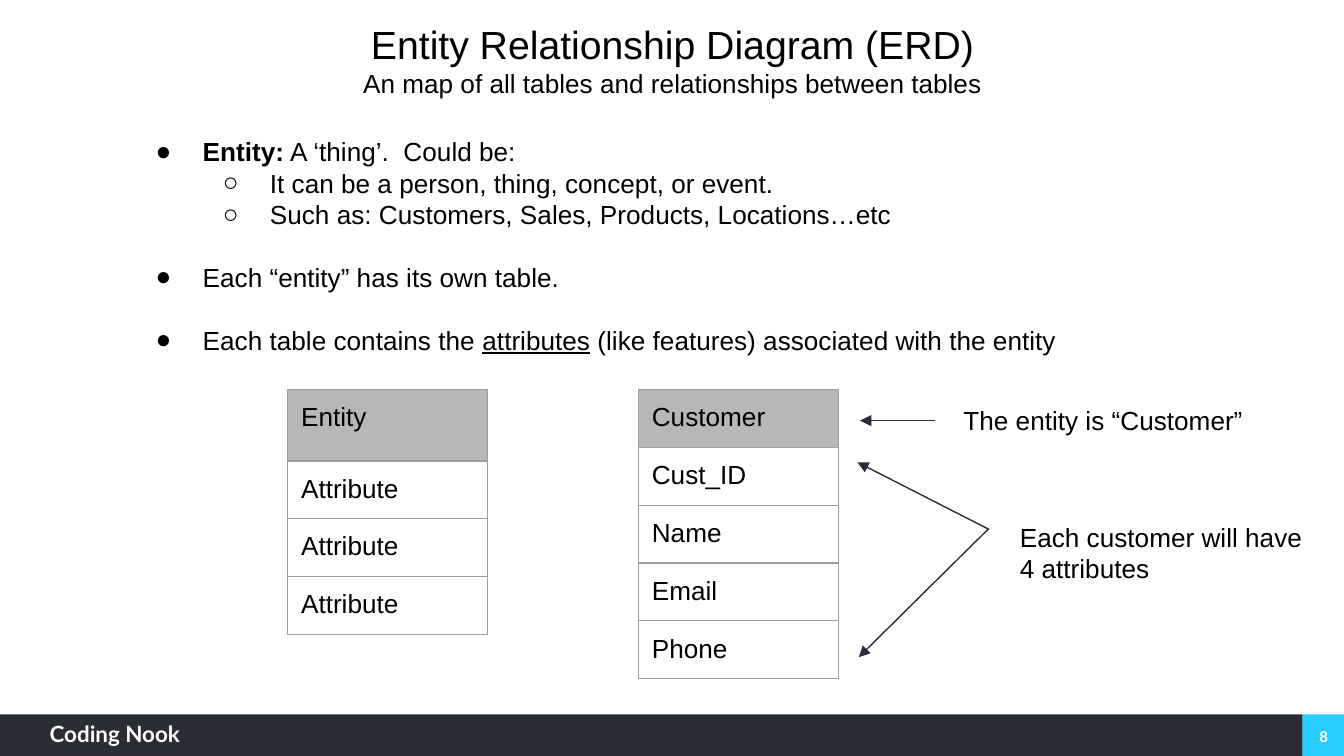
from lxml.etree import SubElement
from pptx import Presentation
from pptx.dml.color import RGBColor
from pptx.enum.shapes import MSO_CONNECTOR, MSO_SHAPE
from pptx.enum.text import MSO_ANCHOR, MSO_AUTO_SIZE, PP_ALIGN
from pptx.oxml.ns import qn
from pptx.util import Inches, Pt

COLORS = {
    "accent": "28CDFF",
    "dark": "2A2D34",
    "white": "FFFFFF",
    "text": "000000",
    "header": "B7B7B7",
    "border": "9E9E9E",
}
BODY_SIZE = 14
PADDING = 0.1

# A paragraph is a list of (text, run format) pairs.
TITLE = [
    [("Entity Relationship Diagram (ERD)", {"size": 21})],
    [("An map of all tables and relationships between tables", {})],
]
# (level, points before, paragraph)
BULLETS = [
    (0, 0, [("Entity:", {"bold": True}), (" A ‘thing’.  Could be:", {})]),
    (1, 0, [("It can be a person, thing, concept, or event.", {})]),
    (1, 0, [("Such as: Customers, Sales, Products, Locations…etc", {})]),
    (0, 16.8, [("Each “entity” has its own table.", {})]),
    (0, 16.8, [("Each table contains the ", {}),
               ("attributes", {"underline": True}),
               (" (like features) associated with the entity", {})]),
]
BULLET_MARKS = ["●", "○"]

# (left, header height, rows)
TABLES = [
    (2.14, 0.53, ["Entity", "Attribute", "Attribute", "Attribute"]),
    (4.75, 0.43, ["Customer", "Cust_ID", "Name", "Email", "Phone"]),
]
TABLE_TOP, COLUMN_WIDTH, ROW_HEIGHT = 2.9, 1.49, 0.43

ARROWS = [
    ((6.96, 3.13), (6.4, 3.13)),
    ((7.36, 3.94), (6.38, 3.44)),
    ((7.35, 3.94), (6.39, 4.89)),
]
CALLOUTS = [
    ((7.07, 2.91, 2.5, 0.44), "The entity is “Customer”"),
    ((7.49, 3.78, 2.34, 0.67), "Each customer will have 4 attributes"),
]

SLIDE_WIDTH = 10
SLIDE_HEIGHT = SLIDE_WIDTH * 9 / 16
FOOTER_HEIGHT = 0.31
FOOTER_TOP = SLIDE_HEIGHT - FOOTER_HEIGHT
FOOTER_WIDTH = SLIDE_WIDTH - FOOTER_HEIGHT
FOOTER_FONT = {"font": "Lato", "color": "white", "bold": True}


def rgb(name):
    return RGBColor.from_string(COLORS[name])


def add_runs(para, runs):
    for text, style in runs:
        span = para.add_run()
        span.text = text
        font = span.font
        font.name = style.get("font", "Arial")
        font.size = Pt(style.get("size", BODY_SIZE))
        font.bold = style.get("bold", False)
        font.underline = style.get("underline", False)
        font.color.rgb = rgb(style.get("color", "text"))


def set_margins(item, horizontal, vertical):
    item.margin_left = item.margin_right = Inches(horizontal)
    item.margin_top = item.margin_bottom = Inches(vertical)


def add_text(slide, place, paragraphs, align=PP_ALIGN.LEFT,
             margins=(PADDING, PADDING), anchor=MSO_ANCHOR.TOP):
    box = slide.shapes.add_textbox(*map(Inches, place))
    frame = box.text_frame
    frame.word_wrap = True
    frame.auto_size = MSO_AUTO_SIZE.NONE
    frame.vertical_anchor = anchor
    set_margins(frame, *margins)
    for index, runs in enumerate(paragraphs):
        para = frame.add_paragraph() if index else frame.paragraphs[0]
        para.alignment = align
        add_runs(para, runs)
    return frame


def add_bullet(para, level, space):
    para.level = level
    para.space_before = Pt(space)
    properties = para._p.get_or_add_pPr()
    properties.set("marL", str(Inches(0.5 * (level + 1))))
    properties.set("indent", str(Inches(-0.35)))
    color = SubElement(properties, qn("a:buClr"))
    SubElement(color, qn("a:srgbClr"), val=COLORS["text"])
    SubElement(properties, qn("a:buSzPts"), val=str(BODY_SIZE * 100))
    SubElement(properties, qn("a:buFont"), typeface="Arial")
    SubElement(properties, qn("a:buChar"), char=BULLET_MARKS[level])


def add_borders(cell):
    properties = cell._tc.get_or_add_tcPr()
    for side in ("lnL", "lnR", "lnT", "lnB"):
        line = SubElement(properties, qn(f"a:{side}"), w=str(Pt(0.75)))
        fill = SubElement(line, qn("a:solidFill"))
        SubElement(fill, qn("a:srgbClr"), val=COLORS["border"])


def add_entity_table(slide, left, header_height, names):
    heights = [header_height] + [ROW_HEIGHT] * (len(names) - 1)
    place = (left, TABLE_TOP, COLUMN_WIDTH, sum(heights))
    table = slide.shapes.add_table(len(names), 1, *map(Inches, place)).table
    table.first_row = table.horz_banding = False
    for index, (name, height) in enumerate(zip(names, heights)):
        table.rows[index].height = Inches(height)
        cell = table.cell(index, 0)
        set_margins(cell, PADDING, PADDING)
        add_runs(cell.text_frame.paragraphs[0], [(name, {})])
        add_borders(cell)
        if index == 0:
            cell.fill.solid()
            cell.fill.fore_color.rgb = rgb("header")
        else:
            cell.fill.background()


def add_arrow(slide, start, end):
    arrow = slide.shapes.add_connector(
        MSO_CONNECTOR.STRAIGHT, *map(Inches, start + end))
    arrow.line.color.rgb = rgb("dark")
    arrow.line.width = Pt(0.75)
    SubElement(arrow.line._get_or_add_ln(), qn("a:tailEnd"), type="triangle")
    SubElement(arrow._element.spPr, qn("a:effectLst"))


def add_block(slide, left, width, color):
    place = (left, FOOTER_TOP, width, FOOTER_HEIGHT)
    block = slide.shapes.add_shape(MSO_SHAPE.RECTANGLE, *map(Inches, place))
    block.shadow.inherit = False
    block.fill.solid()
    block.fill.fore_color.rgb = rgb(color)
    block.line.fill.background()


def add_footer(slide):
    add_block(slide, FOOTER_WIDTH, FOOTER_HEIGHT, "accent")
    add_block(slide, 0, FOOTER_WIDTH, "dark")
    add_text(slide, (0.37, 5.36, 1.57, 0.23),
             [[("Coding Nook", {**FOOTER_FONT, "size": 12})]], margins=(0, 0))
    add_text(slide, (9.7, 5.33, 0.3, 0.3),
             [[("8", {**FOOTER_FONT, "size": 8})]], PP_ALIGN.CENTER,
             margins=(0.07, 0.04), anchor=MSO_ANCHOR.MIDDLE)


def main():
    deck = Presentation()
    deck.slide_width = Inches(SLIDE_WIDTH)
    deck.slide_height = Inches(SLIDE_HEIGHT)
    page = deck.slides.add_slide(deck.slide_layouts[6])

    add_footer(page)
    add_text(page, (1, 0.05, 8.01, 0.79), TITLE, PP_ALIGN.CENTER)
    body = add_text(page, (0.91, 0.91, 7.12, 1.85),
                    [runs for _, _, runs in BULLETS])
    for para, (level, space, _) in zip(body.paragraphs, BULLETS):
        add_bullet(para, level, space)
    for left, header_height, names in TABLES:
        add_entity_table(page, left, header_height, names)
    for start, end in ARROWS:
        add_arrow(page, start, end)
    for place, text in CALLOUTS:
        add_text(page, place, [[(text, {})]])

    deck.save("out.pptx")


if __name__ == "__main__":
    main()
